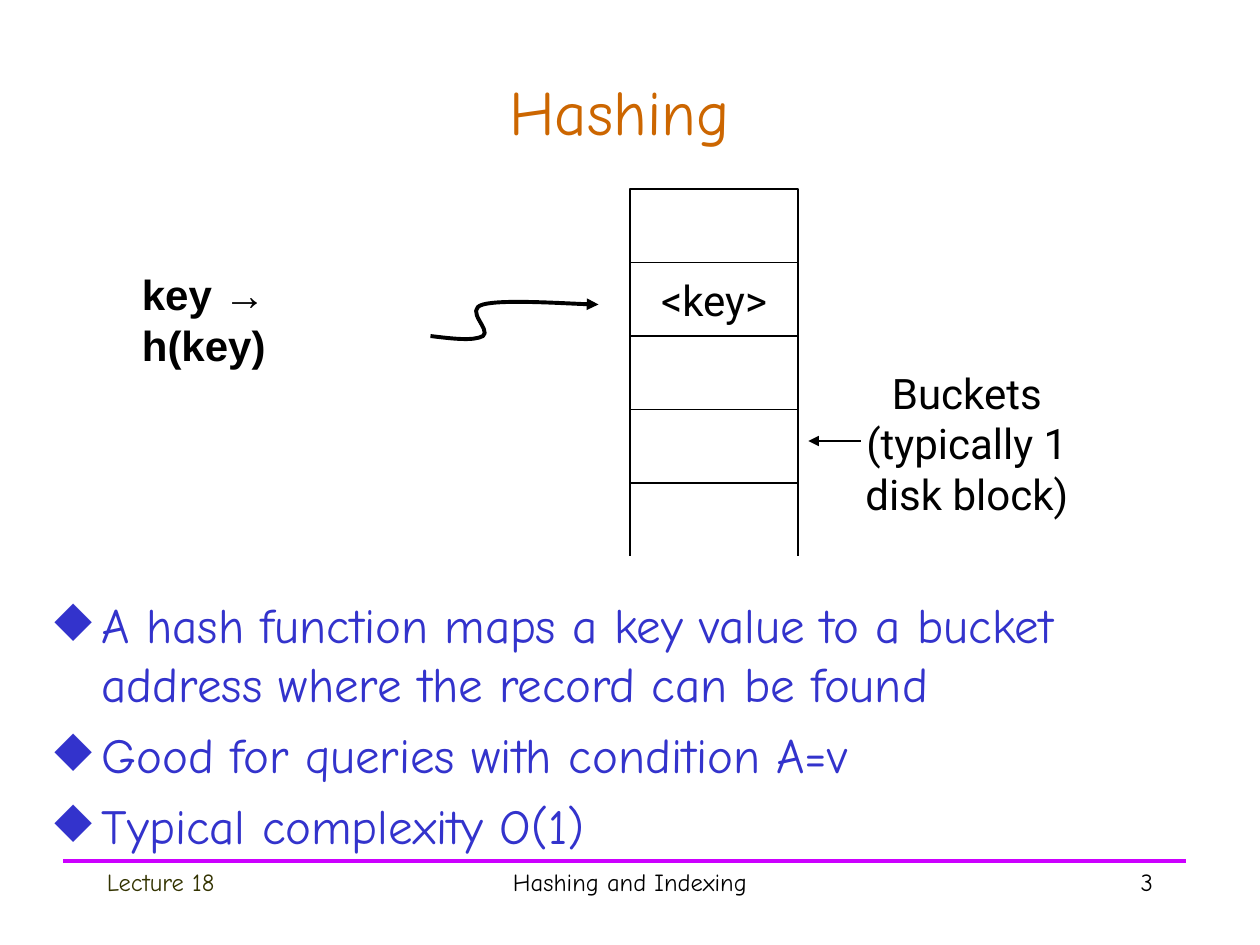
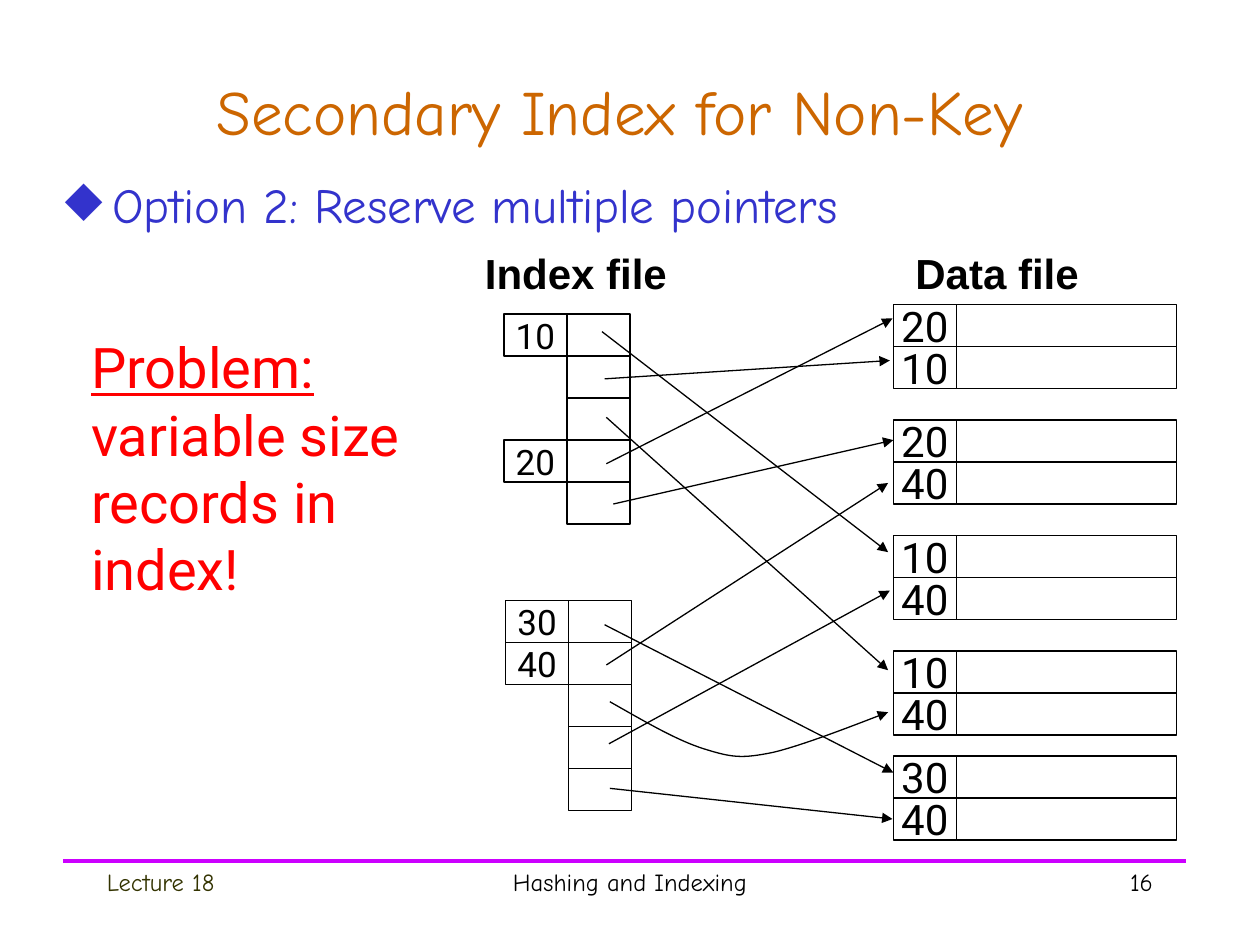
from lxml.etree import SubElement
from pptx import Presentation
from pptx.dml.color import RGBColor
from pptx.enum.shapes import MSO_CONNECTOR, MSO_SHAPE
from pptx.enum.text import MSO_ANCHOR, PP_ALIGN
from pptx.oxml.ns import qn
from pptx.util import Pt

BLACK, WHITE, RED = "000000", "FFFFFF", "FF0000"
TITLE_COLOR, BODY_COLOR, RULE_COLOR, LECTURE_COLOR = "CC6600", "3333CC", "CC00FF", "333300"
HAND_FONT, LABEL_FONT, HEADING_FONT = "Comic Neue", "Roboto", "Arial"
LEFT, CENTER, RIGHT = PP_ALIGN.LEFT, PP_ALIGN.CENTER, PP_ALIGN.RIGHT


def rgb(color):
    return RGBColor.from_string(color)


# Basic parts

def write(shape, lines, font_name, size, color=BLACK, align=LEFT,
          anchor=MSO_ANCHOR.TOP, wrap=True, bold=False):
    """Fill a shape with one paragraph per line and return the paragraphs."""
    frame = shape.text_frame
    frame.text = "\n".join(lines)
    frame.word_wrap = wrap
    frame.vertical_anchor = anchor
    for paragraph in frame.paragraphs:
        paragraph.alignment = align
        font = paragraph.font
        font.name, font.size, font.bold = font_name, Pt(size), bold
        font.color.rgb = rgb(color)
    return frame.paragraphs


def add_text(slide, left, top, width, height, lines, font_name, size, **style):
    shape = slide.shapes.add_textbox(Pt(left), Pt(top), Pt(width), Pt(height))
    return write(shape, lines, font_name, size, **style)


def add_cell(slide, left, top, width, height, label="", size=24):
    shape = slide.shapes.add_shape(
        MSO_SHAPE.RECTANGLE, Pt(left), Pt(top), Pt(width), Pt(height))
    shape.shadow.inherit = False
    shape.fill.solid()
    shape.fill.fore_color.rgb = rgb(WHITE)
    shape.line.color.rgb = rgb(BLACK)
    shape.line.width = Pt(0.75)
    if label:
        write(shape, [label], LABEL_FONT, size, align=CENTER,
              anchor=MSO_ANCHOR.MIDDLE, wrap=False)


def style_line(shape, color, width, arrow):
    shape.line.color.rgb = rgb(color)
    shape.line.width = Pt(width)
    if arrow:
        outline = shape._element.spPr.find(qn("a:ln"))
        SubElement(outline, qn("a:tailEnd"), type="triangle")


def add_line(slide, start, end, color=BLACK, width=0.75, arrow=False):
    connector = slide.shapes.add_connector(
        MSO_CONNECTOR.STRAIGHT, *(Pt(value) for value in (*start, *end)))
    style_line(connector, color, width, arrow)
    SubElement(connector._element.spPr, qn("a:effectLst"))


def add_curve_arrow(slide, points, width=0.75):
    """Draw a Bézier arrow: a start point, then three points per curve."""
    (start_x, start_y), *rest = [(Pt(x), Pt(y)) for x, y in points]
    builder = slide.shapes.build_freeform(start_x, start_y)
    builder.add_line_segments(rest, close=False)
    shape = builder.convert_to_shape()
    shape.shadow.inherit = False
    shape.fill.background()
    style_line(shape, BLACK, width, arrow=True)
    # Turn each three straight segments into one cubic curve
    outline = next(shape._element.iter(qn("a:path")))
    for index, segment in enumerate(outline.findall(qn("a:lnTo"))):
        if index % 3 == 0:
            curve = SubElement(outline, qn("a:cubicBezTo"))
        curve.append(segment[0])
        outline.remove(segment)


def shift(left, top, points):
    return [(left + x, top + y) for x, y in points]


# Regions shared by the slides

def add_frame(slide, title, number):
    add_line(slide, (36, 492), (678, 492), RULE_COLOR, 2.25)
    add_text(slide, 30, 30, 648, 66, [title], HAND_FONT, 36, color=TITLE_COLOR,
             align=CENTER, anchor=MSO_ANCHOR.MIDDLE)
    for left, width, text, color, align in (
            (54, 150, "Lecture 18", LECTURE_COLOR, LEFT),
            (246, 228, "Hashing and Indexing", BLACK, CENTER),
            (516, 150, str(number), BLACK, RIGHT)):
        add_text(slide, left, 492, width, 36, [text], HAND_FONT, 14,
                 color=color, align=align)


def add_bullets(slide, left, top, width, height, lines):
    paragraphs = add_text(slide, left, top, width, height, lines,
                          HAND_FONT, 28, color=BODY_COLOR)
    for index, paragraph in enumerate(paragraphs):
        if index:
            paragraph.space_before = Pt(7)
        properties = paragraph._p.get_or_add_pPr()
        properties.set("marL", str(Pt(27)))
        properties.set("indent", str(-Pt(27)))
        bullet = SubElement(properties, qn("a:buChar"), char="◆")
        properties.find(qn("a:defRPr")).addprevious(bullet)


# Hashing diagram

def add_hash_diagram(slide, left, top):
    # Buckets, the last one left open below
    bucket_left, bucket_width, bucket_height = left + 286, 96, 42
    labels = ("", "<key>", "", "")
    for row, label in enumerate(labels):
        add_cell(slide, bucket_left, top + row * bucket_height,
                 bucket_width, bucket_height, label)
    bottom = top + len(labels) * bucket_height
    for x in (bucket_left, bucket_left + bucket_width):
        add_line(slide, (x, bottom), (x, bottom + bucket_height))

    # Key and its path to the bucket
    add_text(slide, left, top + 42, 150, 60, ["key → h(key)"],
             HEADING_FONT, 24, bold=True)
    add_curve_arrow(slide, shift(left, top, [
        (172, 84), (184.5, 85.5), (196.5, 87), (202, 84), (207, 80.5),
        (191, 69), (202, 66), (213, 63), (257.5, 66), (268, 66)]), 2.25)

    # Note on the buckets
    add_line(slide, *shift(left, top, [(418, 144), (388, 144)]), arrow=True)
    add_text(slide, left + 412, top + 100, 133, 90,
             ["Buckets", "(typically 1", "disk block)"], LABEL_FONT, 24,
             align=CENTER, anchor=MSO_ANCHOR.MIDDLE, wrap=False)


# Secondary index diagram

CELL_WIDTH, ROW_HEIGHT = 36, 24


def add_index_block(slide, left, top, keys):
    """Stack pointer cells, with a key cell beside each row that has a key."""
    for row, key in enumerate(keys):
        y = top + row * ROW_HEIGHT
        if key:
            add_cell(slide, left, y, CELL_WIDTH, ROW_HEIGHT, key, 20)
        add_cell(slide, left + CELL_WIDTH, y, CELL_WIDTH, ROW_HEIGHT)


def add_data_block(slide, left, top, keys):
    for row, key in enumerate(keys):
        y = top + row * ROW_HEIGHT
        add_cell(slide, left, y, CELL_WIDTH, ROW_HEIGHT, key)
        add_cell(slide, left + CELL_WIDTH, y, 126, ROW_HEIGHT)


def add_index_diagram(slide, left, top):
    # Headings
    for offset, heading in ((0, "Index file"), (246, "Data file")):
        add_text(slide, left + offset, top, 126, 36, [heading],
                 HEADING_FONT, 24, bold=True)

    # Index and data blocks
    add_index_block(slide, left + 18, top + 41.5, ("10", "", "", "20", ""))
    add_index_block(slide, left + 19, top + 205, ("30", "40", "", "", ""))
    for offset, keys in ((36, ("20", "10")), (102, ("20", "40")),
                         (168, ("10", "40")), (234, ("10", "40")),
                         (294, ("30", "40"))):
        add_data_block(slide, left + 240.5, top + offset, keys)

    # Pointers from index to data
    for pointer in (
            ((74, 51.5), (237.5, 177.5)),
            ((75.5, 78.5), (238.5, 68)),
            ((76.5, 100.5), (237.5, 245)),
            ((76.5, 127), (240, 44)),
            ((80.5, 150), (240.5, 113.5)),
            ((75.5, 219), (240.5, 303.5)),
            ((76.5, 242), (237.5, 138)),
            ((78.5, 312.5), (240, 330)),
            ((78, 287), (238.5, 199.5))):
        add_line(slide, *shift(left, top, pointer), arrow=True)
    add_curve_arrow(slide, shift(left, top, [
        (78.5, 263), (98, 274), (116.5, 285), (132.5, 290), (148.5, 295),
        (154, 295.5), (171.5, 292), (188.5, 288), (227, 273), (237.5, 269)]))


def add_problem_note(slide, left, top, width, height):
    paragraphs = add_text(
        slide, left, top, width, height,
        ["Problem:", "variable size", "records in", "index!"],
        LABEL_FONT, 32, color=RED, anchor=MSO_ANCHOR.MIDDLE)
    paragraphs[0].font.underline = True


# Slides

def add_slide(presentation, title, number):
    slide = presentation.slides.add_slide(presentation.slide_layouts[6])
    add_frame(slide, title, number)
    return slide


def build_hashing(presentation):
    slide = add_slide(presentation, "Hashing", 3)
    add_bullets(slide, 24, 336, 666, 156, [
        "A hash function maps a key value to a bucket address "
        "where the record can be found",
        "Good for queries with condition A=v",
        "Typical complexity O(1)"])
    add_hash_diagram(slide, 74, 108)


def build_secondary_index(presentation):
    slide = add_slide(presentation, "Secondary Index for Non-Key", 16)
    add_bullets(slide, 30, 96, 666, 41, ["Option 2: Reserve multiple pointers"])
    add_problem_note(slide, 45, 186, 205, 162)
    add_index_diagram(slide, 270, 138)


def main():
    presentation = Presentation()
    presentation.slide_width, presentation.slide_height = Pt(720), Pt(540)
    build_hashing(presentation)
    build_secondary_index(presentation)
    presentation.save("out.pptx")


if __name__ == "__main__":
    main()
